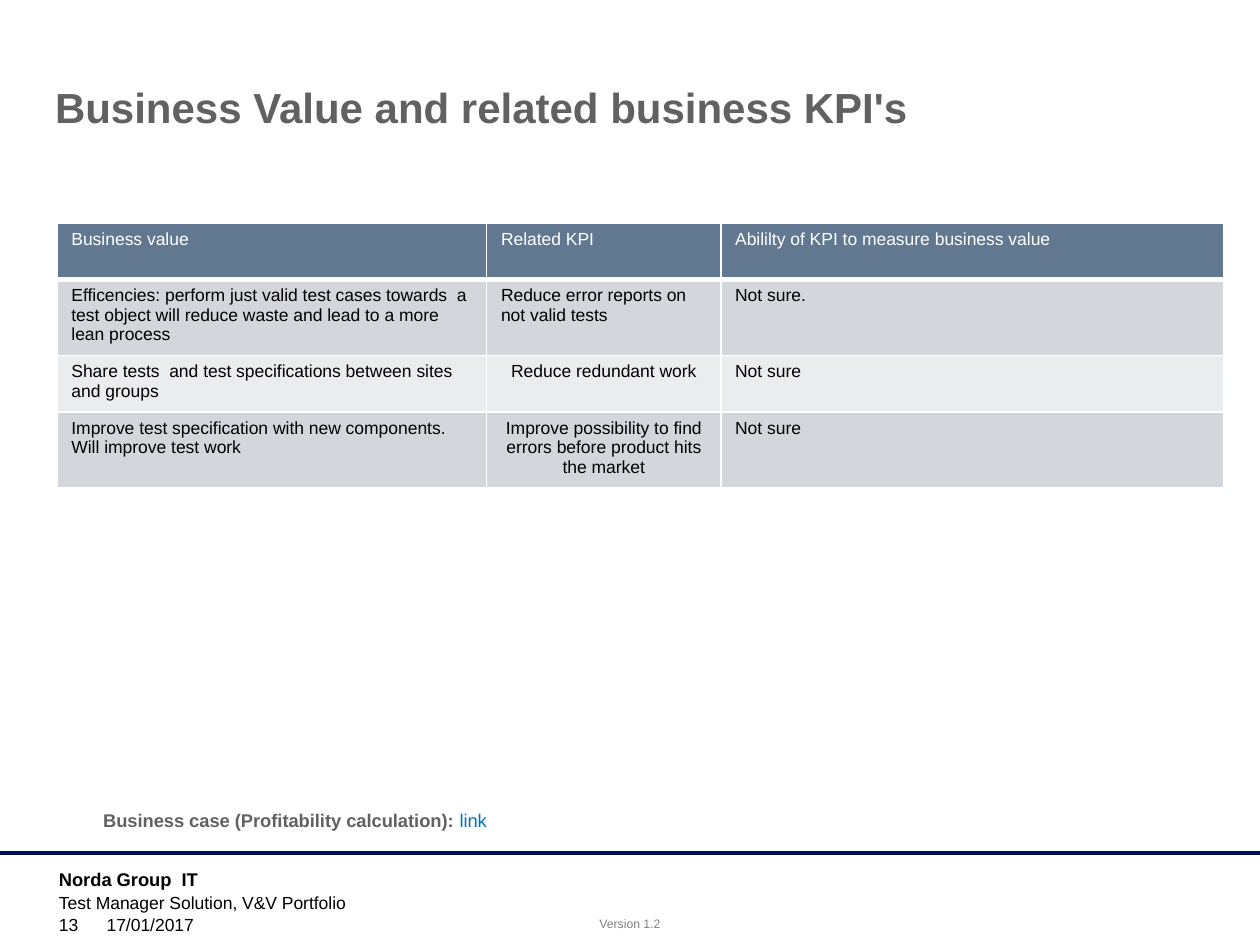
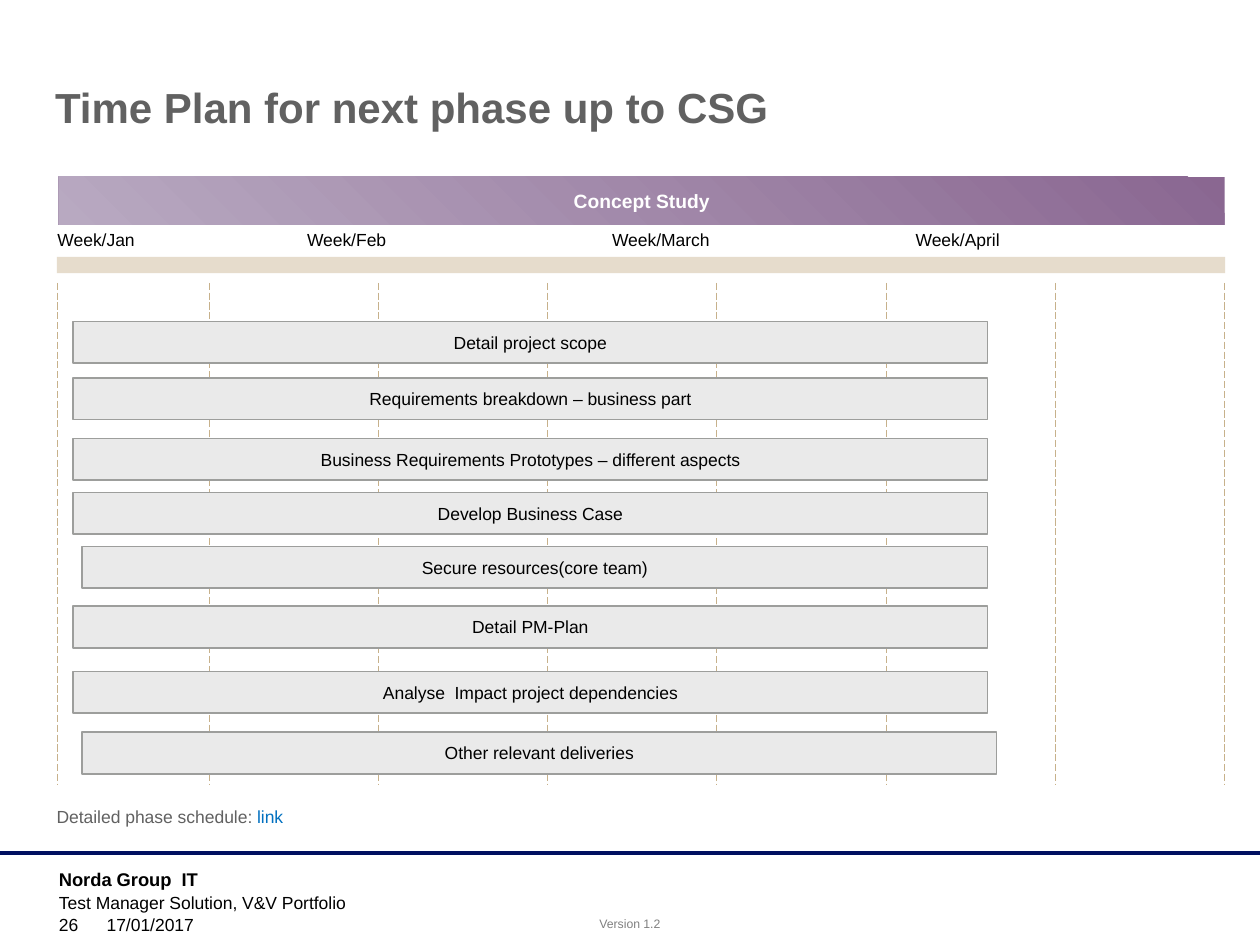
from lxml import etree
from pptx import Presentation
from pptx import util as u
from pptx.dml.color import RGBColor
from pptx.enum import dml, shapes, text
from pptx.oxml import ns

NAVY = RGBColor(0x00, 0x0F, 0x60)
BLACK = RGBColor(0x00, 0x00, 0x00)
WHITE = RGBColor(0xFF, 0xFF, 0xFF)
TITLE_GREY = RGBColor(0x61, 0x61, 0x61)
VERSION_GREY = RGBColor(0x80, 0x80, 0x80)
LINK_BLUE = RGBColor(0x00, 0x70, 0xC0)
HEADER_BLUE = RGBColor(0x62, 0x78, 0x90)
ROW_DARK = RGBColor(0xD3, 0xD6, 0xDB)
ROW_LIGHT = RGBColor(0xEA, 0xEC, 0xEE)
LILAC = RGBColor(0xB8, 0xA9, 0xC1)
PLUM = RGBColor(0x8A, 0x67, 0x91)
SAND = RGBColor(0xE6, 0xDC, 0xCC)
TAN = RGBColor(0xC7, 0xB1, 0x8B)
BAR_FILL = RGBColor(0xEA, 0xEA, 0xEA)
BAR_LINE = RGBColor(0x9D, 0x9E, 0x9C)

LEFT, CENTER = text.PP_ALIGN.LEFT, text.PP_ALIGN.CENTER
TOP, MIDDLE, BOTTOM = (text.MSO_ANCHOR.TOP, text.MSO_ANCHOR.MIDDLE,
                       text.MSO_ANCHOR.BOTTOM)

KPI_ROWS = [
    ("Business value", "Related KPI", "Abililty of KPI to measure business value"),
    ("Efficencies: perform just valid test cases towards  a test object will "
     "reduce waste and lead to a more lean process",
     "Reduce error reports on not valid tests", "Not sure."),
    ("Share tests  and test specifications between sites and groups",
     "Reduce redundant work", "Not sure"),
    ("Improve test specification with new components. Will improve test work",
     "Improve possibility to find errors before product hits the market", "Not sure"),
]
CENTERED_CELLS = {(2, 1), (3, 1)}

MONTHS = [("Week/Jan", 0.91), ("Week/Feb", 5.94),
          ("Week/March", 12.09), ("Week/April", 18.21)]

ACTIVITIES = [
    ("Detail project scope", 1.47, 6.48, 18.44),
    ("Requirements breakdown – business part", 1.47, 7.62, 18.44),
    ("Business Requirements Prototypes – different aspects", 1.47, 8.84, 18.44),
    ("Develop Business Case", 1.47, 9.93, 18.44),
    ("Secure resources(core team)", 1.65, 11.02, 18.26),
    ("Detail PM-Plan", 1.47, 12.22, 18.44),
    ("Analyse  Impact project dependencies", 1.47, 13.54, 18.44),
    ("Other relevant deliveries", 1.65, 14.76, 18.44),
]


class Deck:
    """Holds the shared style and the current slide; lengths are in centimetres."""

    font = "Arial"

    def __init__(self):
        self.presentation = Presentation()
        self.presentation.slide_width = u.Cm(25.4)
        self.presentation.slide_height = u.Cm(19.05)
        self.slide = None

    def new_slide(self, title, number):
        layout = self.presentation.slide_layouts[6]
        self.slide = self.presentation.slides.add_slide(layout)
        self.line(0, 17.2, 25.4, 17.2, NAVY, 2)
        self.label("Norda Group  IT", 0.94, 17.37, 5.92, 0.61, 10.5, bold=True)
        self.label("Version 1.2", 10.92, 18.34, 3.56, 0.56, 7, VERSION_GREY, align=CENTER)
        self.label("Test Manager Solution, V&V Portfolio", 0.94, 17.86, 19.1, 0.61)
        self.label(str(number), 0.94, 18.39, 1.4, 0.58, anchor=BOTTOM)
        self.label("17/01/2017", 1.9, 18.39, 6.68, 0.58, anchor=BOTTOM)
        self.label(title, 0.86, 1.52, 23.1, 1.07, 24, TITLE_GREY, True)

    def style(self, run, size=10, color=BLACK, bold=False):
        run.font.name = self.font
        run.font.size = u.Pt(size)
        run.font.bold = bold
        run.font.color.rgb = color

    def set_text(self, frame, content, size=10, color=BLACK, bold=False, align=LEFT):
        frame.text = content
        paragraph = frame.paragraphs[0]
        paragraph.alignment = align
        self.style(paragraph.runs[0], size, color, bold)
        return paragraph

    def label(self, content, left, top, width, height, size=10, color=BLACK,
              bold=False, align=LEFT, anchor=TOP):
        box = self.slide.shapes.add_textbox(
            u.Cm(left), u.Cm(top), u.Cm(width), u.Cm(height))
        box.text_frame.word_wrap = True
        box.text_frame.vertical_anchor = anchor
        return self.set_text(box.text_frame, content, size, color, bold, align)

    def link_label(self, content, left, top, size, bold=False):
        paragraph = self.label(content, left, top, 10.5, 0.7, size, TITLE_GREY, bold)
        run = paragraph.add_run()
        run.text = "link"
        self.style(run, size, LINK_BLUE)

    def line(self, x1, y1, x2, y2, color, width, dash=None):
        connector = self.slide.shapes.add_connector(
            shapes.MSO_CONNECTOR.STRAIGHT, u.Cm(x1), u.Cm(y1), u.Cm(x2), u.Cm(y2))
        connector.line.color.rgb = color
        connector.line.width = u.Pt(width)
        if dash:
            connector.line.dash_style = dash
        etree.SubElement(connector._element.spPr, ns.qn("a:effectLst"))

    def rectangle(self, left, top, width, height, fill, outline=None):
        shape = self.slide.shapes.add_shape(
            shapes.MSO_SHAPE.RECTANGLE, u.Cm(left), u.Cm(top), u.Cm(width), u.Cm(height))
        shape.shadow.inherit = False
        shape.fill.solid()
        shape.fill.fore_color.rgb = fill
        if outline:
            shape.line.color.rgb = outline
            shape.line.width = u.Pt(1)
        else:
            shape.line.fill.background()
        shape.text_frame.vertical_anchor = MIDDLE
        return shape

    def bar(self, content, left, top, width):
        shape = self.rectangle(left, top, width, 0.84, BAR_FILL, BAR_LINE)
        shape.text_frame.word_wrap = False
        self.set_text(shape.text_frame, content, align=CENTER)

    def phase_band(self, content, left, top, width, height):
        shape = self.rectangle(left, top, width, height, LILAC)
        shape.fill.gradient()
        for stop, color in zip(shape.fill.gradient_stops, (LILAC, PLUM)):
            stop.color.rgb = color
        gradient = shape._element.spPr.find(ns.qn("a:gradFill"))
        gradient.remove(gradient.find(ns.qn("a:lin")))
        circle = etree.SubElement(gradient, ns.qn("a:path"), {"path": "circle"})
        etree.SubElement(circle, ns.qn("a:fillToRect"), {"t": "100000", "r": "100000"})
        self.set_text(shape.text_frame, content, 11, WHITE, True, CENTER)

    def cell_borders(self, cell, bottom_width):
        properties = cell._tc.get_or_add_tcPr()
        for side, width in (("L", 1), ("R", 1), ("T", 1), ("B", bottom_width)):
            border = etree.SubElement(
                properties, ns.qn(f"a:ln{side}"), {"w": str(int(u.Pt(width)))})
            fill = etree.SubElement(border, ns.qn("a:solidFill"))
            etree.SubElement(fill, ns.qn("a:srgbClr"), {"val": str(WHITE)})

    def table(self, rows, left, top, widths, heights, centered):
        table = self.slide.shapes.add_table(
            len(rows), len(widths), u.Cm(left), u.Cm(top),
            u.Cm(sum(widths)), u.Cm(sum(heights))).table
        table.first_row = table.horz_banding = False
        for column, width in zip(table.columns, widths):
            column.width = u.Cm(width)
        for row_index, (row, height) in enumerate(zip(rows, heights)):
            header = row_index == 0
            table.rows[row_index].height = u.Cm(height)
            for column_index, content in enumerate(row):
                cell = table.cell(row_index, column_index)
                cell.margin_left = cell.margin_right = u.Cm(0.29)
                self.cell_borders(cell, 3 if header else 1)
                cell.fill.solid()
                body_fill = ROW_DARK if row_index % 2 else ROW_LIGHT
                cell.fill.fore_color.rgb = HEADER_BLUE if header else body_fill
                self.set_text(cell.text_frame, content, color=WHITE if header else BLACK,
                              align=CENTER if (row_index, column_index) in centered else LEFT)


def build_kpi_slide(deck):
    deck.new_slide("Business Value and related business KPI's", 13)
    deck.link_label("Business case (Profitability calculation): ", 1.83, 16.18, 10.5, True)
    deck.table(KPI_ROWS, 1.15, 4.5, (8.66, 4.72, 10.13), (1.14, 1.5, 1.14, 1.5),
               CENTERED_CELLS)


def build_time_plan_slide(deck):
    deck.new_slide("Time Plan for next phase up to CSG", 26)
    deck.phase_band("Concept Study", 1.19, 3.56, 23.5, 0.97)
    for month, left in MONTHS:
        deck.label(month, left, 4.5, 3.2, 0.69)
    deck.rectangle(1.15, 5.18, 23.55, 0.33, SAND)
    for x in [1.15] + [4.22 + 3.41 * step for step in range(7)]:
        deck.line(x, 5.7, x, 15.82, TAN, 0.5, dml.MSO_LINE.LONG_DASH)
    for activity in ACTIVITIES:
        deck.bar(*activity)
    deck.link_label("Detailed phase schedule: ", 0.89, 16.13, 10)


def main():
    deck = Deck()
    build_kpi_slide(deck)
    build_time_plan_slide(deck)
    deck.presentation.save("out.pptx")


if __name__ == "__main__":
    main()
